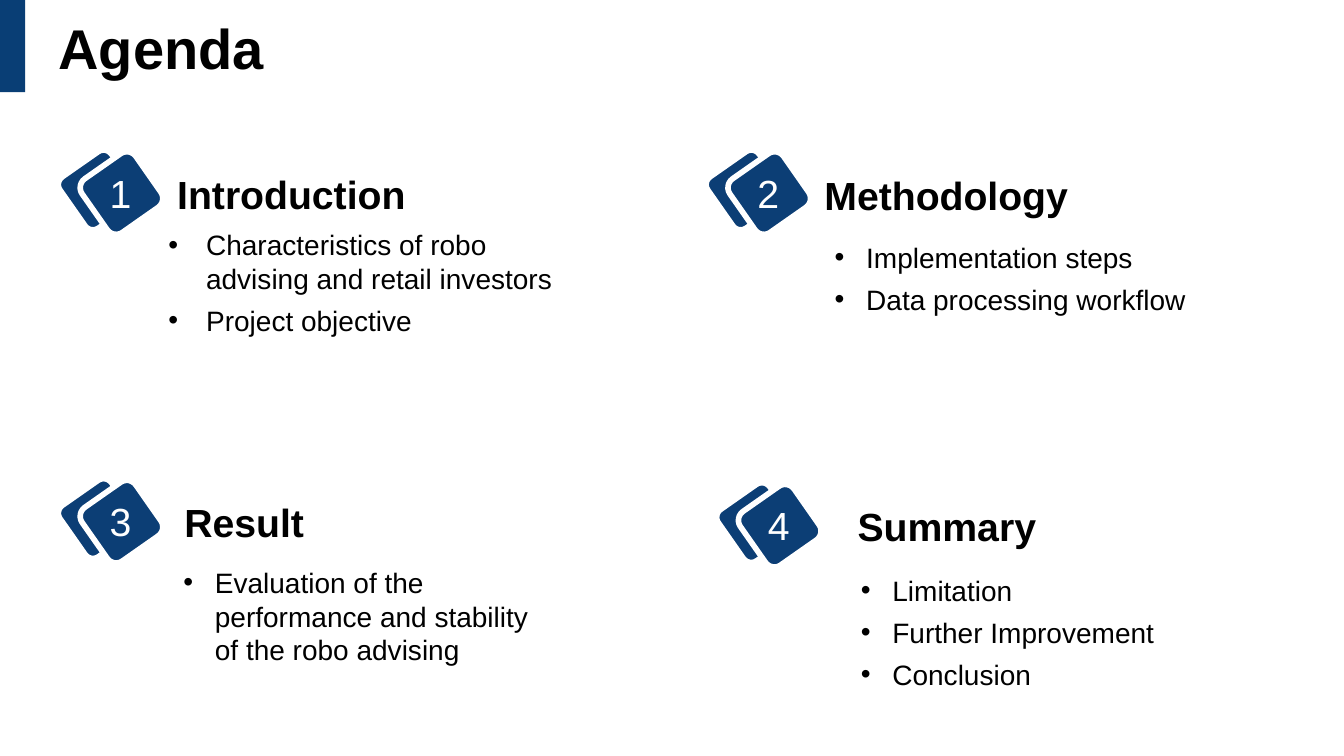
from typing import NamedTuple

from lxml.etree import SubElement
from pptx import Presentation
from pptx.dml.color import RGBColor as RGB
from pptx.enum.shapes import MSO_SHAPE as SHAPE
from pptx.enum.text import MSO_ANCHOR as ANCHOR, MSO_AUTO_SIZE as AUTO, PP_ALIGN as ALIGN
from pptx.oxml.ns import qn
from pptx.util import Pt

COLORS = {"bar": "093E75", "badge": "0C3E75", "white": "FFFFFF", "text": "000000"}
FONT = "Arial"
COMPARISON_LAYOUT = 4
BADGE_SIZE = 46.8


class Box(NamedTuple):
    left: float
    top: float
    width: float
    height: float


class Section(NamedTuple):
    number: int
    heading: str
    items: tuple[str, ...]
    badge: tuple[float, float]
    heading_box: Box
    list_box: Box
    indent: float = 22.5


class Tile(NamedTuple):
    dx: float
    dy: float
    outline: float


SECTIONS = (
    Section(1, "Introduction",
            ("Characteristics of robo advising and retail investors", "Project objective"),
            (46.8, 112.3), Box(119.5, 118.1, 179.3, 41), Box(113, 159.1, 292.3, 116.6), 27),
    Section(2, "Methodology", ("Implementation steps", "Data processing workflow"),
            (509.5, 112.3), Box(581.8, 118.8, 190.8, 41), Box(589, 168, 270, 62)),
    Section(3, "Result", ("Evaluation of the performance and stability of the robo advising",),
            (46.8, 347), Box(124.6, 352.1, 100.8, 41), Box(123.8, 400.3, 263.5, 80)),
    Section(4, "Summary", ("Limitation", "Further Improvement", "Conclusion"),
            (517, 349.9), Box(605.5, 355, 143.3, 41), Box(607.7, 406, 225.4, 92)),
)
TILES = (Tile(0, 0, 6), Tile(16.6, 2.2, 4))


def color(name: str) -> RGB:
    return RGB.from_string(COLORS[name])


def place(sp, box: Box) -> None:
    sp.left, sp.top, sp.width, sp.height = (Pt(v) for v in box)


def add_run(p, text: str, size: float, name: str = "text", bold: bool = False) -> None:
    r = p.add_run()
    r.text = text
    r.font.name, r.font.size, r.font.bold = FONT, Pt(size), bold
    r.font.color.rgb = color(name)


def add_label(shapes, box: Box, text: str, name: str = "text", bold: bool = False) -> None:
    tf = shapes.add_textbox(*(Pt(v) for v in box)).text_frame
    tf.word_wrap = False
    add_run(tf.paragraphs[0], text, 28, name, bold)


def add_solid(shapes, kind: SHAPE, box: Box, fill: str):
    sp = shapes.add_shape(kind, *(Pt(v) for v in box))
    sp.shadow.inherit = False
    sp.fill.solid()
    sp.fill.fore_color.rgb = color(fill)
    sp.line.fill.background()
    return sp


def add_badge(shapes, section: Section) -> None:
    """Draw two overlapping tilted tiles with the section number on top."""
    group = shapes.add_group_shape().shapes
    left, top = section.badge
    for tile in TILES:
        box = Box(left + tile.dx, top + tile.dy, BADGE_SIZE, BADGE_SIZE)
        sp = add_solid(group, SHAPE.ROUNDED_RECTANGLE, box, "badge")
        sp.rotation = 55
        sp.line.color.rgb = color("white")
        sp.line.width = Pt(tile.outline)
    add_label(group, Box(left + 24.4, top + 5, 30.2, 41), str(section.number), "white")


def fill_list(sp, section: Section) -> None:
    place(sp, section.list_box)
    tf = sp.text_frame
    tf.word_wrap, tf.auto_size, tf.vertical_anchor = True, AUTO.NONE, ANCHOR.TOP
    for i, item in enumerate(section.items):
        p = tf.add_paragraph() if i else tf.paragraphs[0]
        p.line_spacing, p.space_before, p.space_after = 1.0, Pt(0), Pt(6)
        pPr = p._p.get_or_add_pPr()
        pPr.set("marL", str(Pt(section.indent)))
        pPr.set("indent", str(-Pt(section.indent)))
        SubElement(pPr, qn("a:buFont"), typeface=FONT)
        SubElement(pPr, qn("a:buChar"), char="•")
        add_run(p, item, 20)


def fill_title(sp, text: str) -> None:
    place(sp, Box(34.6, 10.8, 828, 51.8))
    tf = sp.text_frame
    tf.auto_size, tf.vertical_anchor = AUTO.NONE, ANCHOR.MIDDLE
    p = tf.paragraphs[0]
    p.alignment, p.line_spacing = ALIGN.LEFT, 0.9
    add_run(p, text, 40, bold=True)


def main() -> None:
    prs = Presentation()
    prs.slide_width, prs.slide_height = Pt(960), Pt(540)
    s = prs.slides.add_slide(prs.slide_layouts[COMPARISON_LAYOUT])
    title, *lists = s.placeholders
    add_solid(s.shapes, SHAPE.RECTANGLE, Box(0, 0, 18, 65.8), "bar")
    fill_title(title, "Agenda")
    for section, sp in zip(SECTIONS, lists):
        add_badge(s.shapes, section)
        add_label(s.shapes, section.heading_box, section.heading, bold=True)
        fill_list(sp, section)
    prs.save("out.pptx")


if __name__ == "__main__":
    main()
